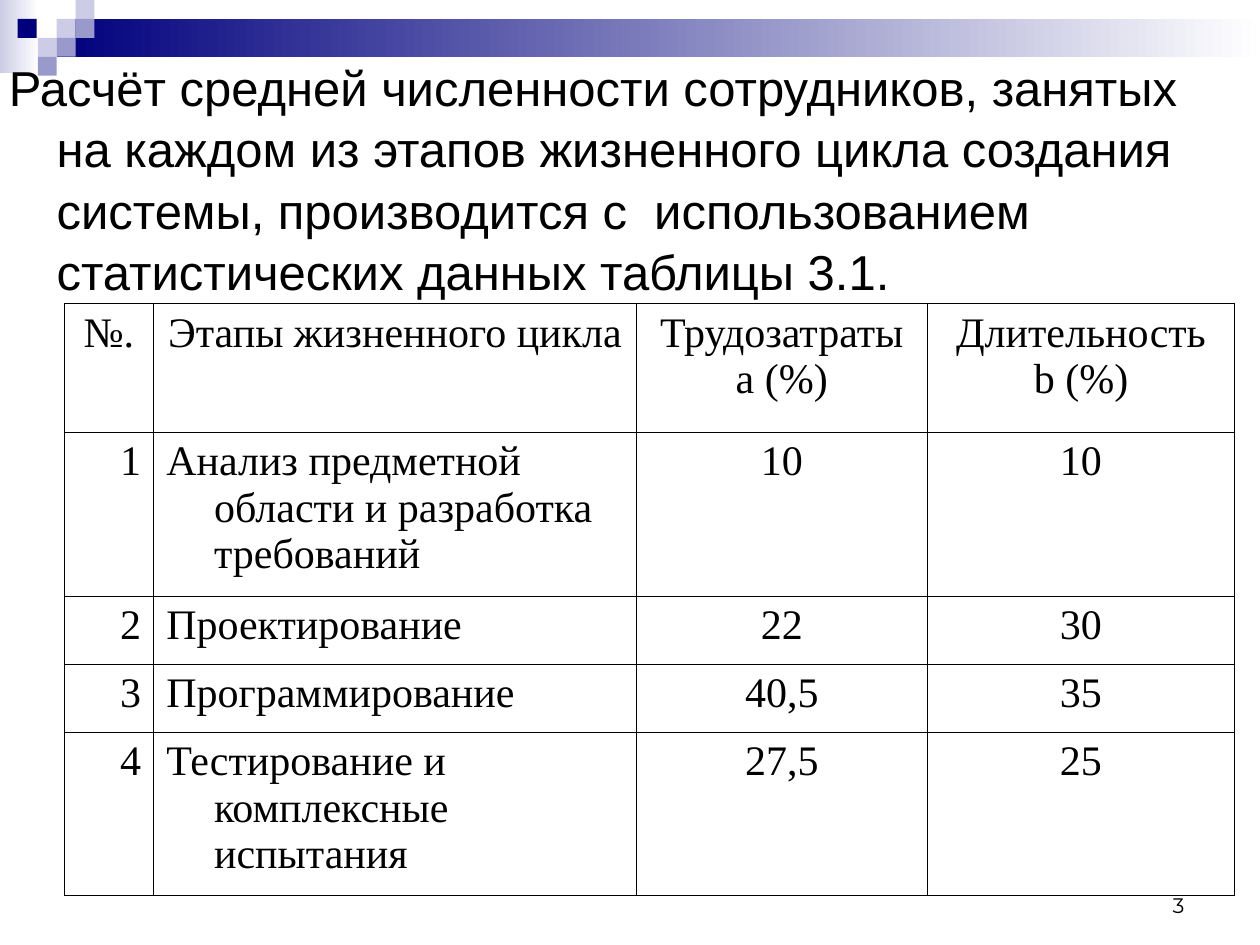
"""Build a slide with a lifecycle effort table under a banner of squares."""
from dataclasses import dataclass

from lxml import etree
from pptx import Presentation
from pptx import util as u
from pptx.dml.color import RGBColor
from pptx.enum import shapes, text
from pptx.oxml import ns

NAVY = RGBColor(0x00, 0x00, 0x7D)
VIOLET = RGBColor(0x99, 0x99, 0xCC)
LILAC = RGBColor(0xCC, 0xCC, 0xE6)
WHITE = RGBColor(0xFF, 0xFF, 0xFF)
BLACK = RGBColor(0x00, 0x00, 0x00)

SQUARE = 0.15
HANGING = {"marL": u.Inches(0.38), "indent": u.Inches(-0.38)}
CENTER, LEFT, RIGHT = text.PP_ALIGN.CENTER, text.PP_ALIGN.LEFT, text.PP_ALIGN.RIGHT


@dataclass(frozen=True)
class Block:
    left: float
    top: float
    width: float
    height: float
    color: RGBColor
    fades: bool = False


@dataclass(frozen=True)
class Style:
    font: str
    size: float
    align: text.PP_ALIGN = LEFT
    hanging: bool = True
    before: float = 0
    spacing: float = 1.0


BLOCKS = [
    Block(0, 0, 0.31, 0.58, LILAC, True),
    Block(0.45, 0.15, 9.55, 0.3, NAVY, True),
] + [
    Block(left, top, SQUARE, SQUARE, color)
    for left, top, color in [
        (0.45, 0.15, LILAC), (0.6, 0, LILAC), (0.6, 0.15, VIOLET), (0.3, 0.3, LILAC),
        (0.14, 0.15, NAVY), (0.45, 0.3, VIOLET), (0.3, 0.45, VIOLET),
    ]
]
INTRO = (
    "Расчёт средней численности сотрудников, занятых на каждом из этапов "
    "жизненного цикла создания системы, производится с  использованием "
    "статистических данных таблицы 3.1."
)
COLUMN_WIDTHS = [0.71, 3.83, 2.31, 2.44]
ROW_HEIGHTS = [1.02, 1.3, 0.54, 0.54, 1.3]
COLUMN_ALIGNS = [RIGHT, LEFT, CENTER, CENTER]
ROWS = [
    ["№.", "Этапы жизненного цикла", "Трудозатраты\na (%)", "Длительность\nb (%)"],
    ["1", "Анализ предметной области и разработка требований", "10", "10"],
    ["2", "Проектирование", "22", "30"],
    ["3", "Программирование", "40,5", "35"],
    ["4", "Тестирование и комплексные испытания", "27,5", "25"],
]


def draw_block(page, block: Block) -> None:
    place = [u.Inches(v) for v in (block.left, block.top, block.width, block.height)]
    box = page.shapes.add_shape(shapes.MSO_SHAPE.RECTANGLE, *place)
    box.shadow.inherit = False
    box.line.fill.background()
    if not block.fades:
        box.fill.solid()
        box.fill.fore_color.rgb = block.color
        return
    box.fill.gradient()
    box.fill.gradient_angle = 0
    for stop, color in zip(box.fill.gradient_stops, (block.color, WHITE)):
        stop.color.rgb = color


def write(frame, words: str, style: Style) -> None:
    frame.text = words
    for para in frame.paragraphs:
        layout = {
            "alignment": style.align,
            "space_before": u.Pt(style.before),
            "line_spacing": style.spacing,
        }
        for name, value in layout.items():
            setattr(para, name, value)
        if style.hanging:
            for name, value in HANGING.items():
                para._p.get_or_add_pPr().set(name, str(value))
        for span in para.runs:
            for name, value in {"name": style.font, "size": u.Pt(style.size)}.items():
                setattr(span.font, name, value)
            span.font.color.rgb = BLACK


def draw_text(page, place: tuple, words: str, style: Style, **settings) -> None:
    box = page.shapes.add_textbox(*[u.Inches(v) for v in place])
    for name, value in {"word_wrap": True, **settings}.items():
        setattr(box.text_frame, name, value)
    write(box.text_frame, words, style)


def outline_cell(cell) -> None:
    properties = cell._tc.get_or_add_tcPr()
    for index, side in enumerate(("lnL", "lnR", "lnT", "lnB")):
        line = etree.Element(ns.qn(f"a:{side}"), w=str(u.Pt(0.45)))
        fill = etree.SubElement(line, ns.qn("a:solidFill"))
        etree.SubElement(fill, ns.qn("a:srgbClr"), val=str(BLACK))
        properties.insert(index, line)


def draw_table(page) -> None:
    place = (0.51, 2.41, sum(COLUMN_WIDTHS), sum(ROW_HEIGHTS))
    table = page.shapes.add_table(
        len(ROWS), len(COLUMN_WIDTHS), *[u.Inches(v) for v in place]
    ).table
    for name in ("first_row", "horz_banding"):
        setattr(table, name, False)
    for column, width in zip(table.columns, COLUMN_WIDTHS):
        column.width = u.Inches(width)
    for row, height in zip(table.rows, ROW_HEIGHTS):
        row.height = u.Inches(height)
    for row_index, row in enumerate(ROWS):
        for column_index, words in enumerate(row):
            cell = table.cell(row_index, column_index)
            if row_index == 0:
                cell.fill.solid()
                cell.fill.fore_color.rgb = WHITE
            else:
                cell.fill.background()
            outline_cell(cell)
            align = COLUMN_ALIGNS[column_index] if row_index else CENTER
            write(cell.text_frame, words, Style("Times New Roman", 24, align))


def main() -> None:
    deck = Presentation()
    deck.slide_width, deck.slide_height = u.Inches(10), u.Inches(7.5)
    page = deck.slides.add_slide(deck.slide_layouts[6])
    for block in BLOCKS:
        draw_block(page, block)
    draw_text(
        page, (0, 0.44, 9.8, 4.25), INTRO,
        Style("Arial", 28, before=7, spacing=1.04),
        margin_left=u.Inches(0.07), margin_top=u.Inches(0),
    )
    draw_table(page)
    draw_text(
        page, (7.17, 6.83, 2.33, 0.5), "3",
        Style("Montserrat", 12, RIGHT, hanging=False),
        vertical_anchor=text.MSO_ANCHOR.BOTTOM,
    )
    deck.save("out.pptx")


if __name__ == "__main__":
    main()
